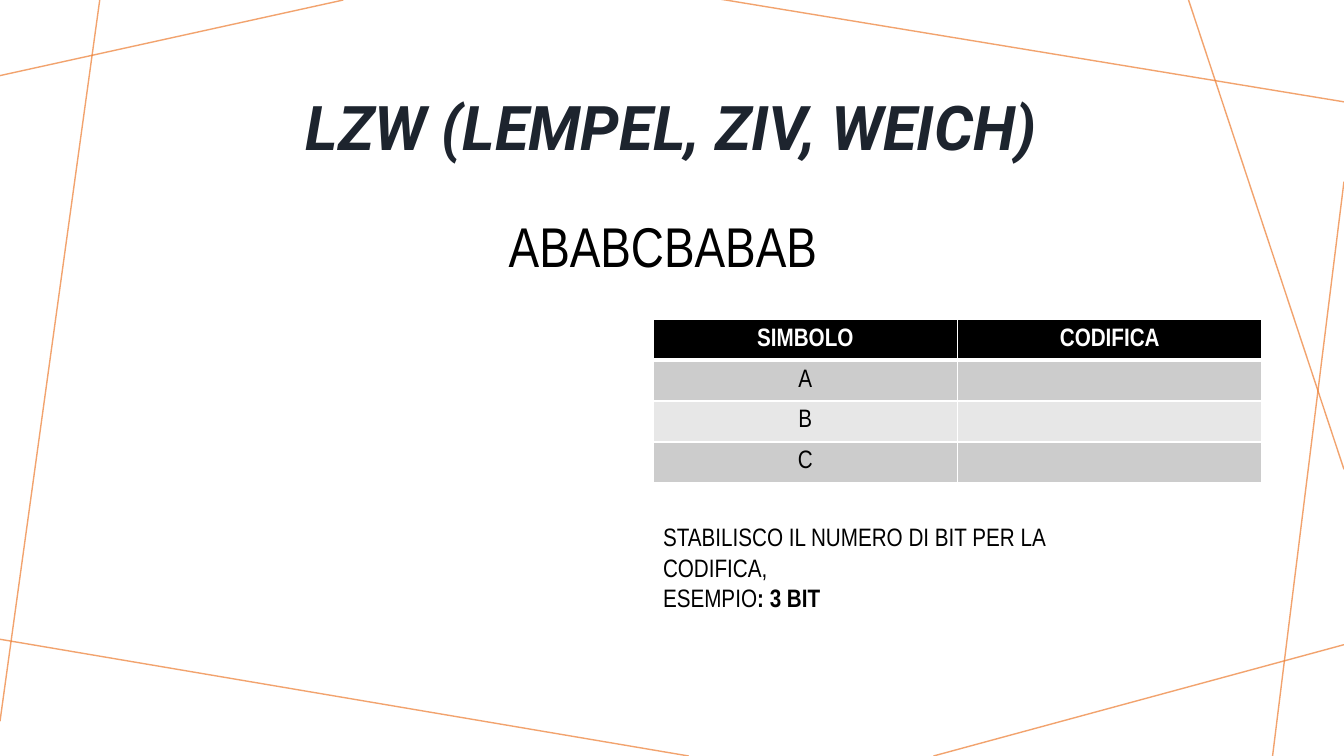
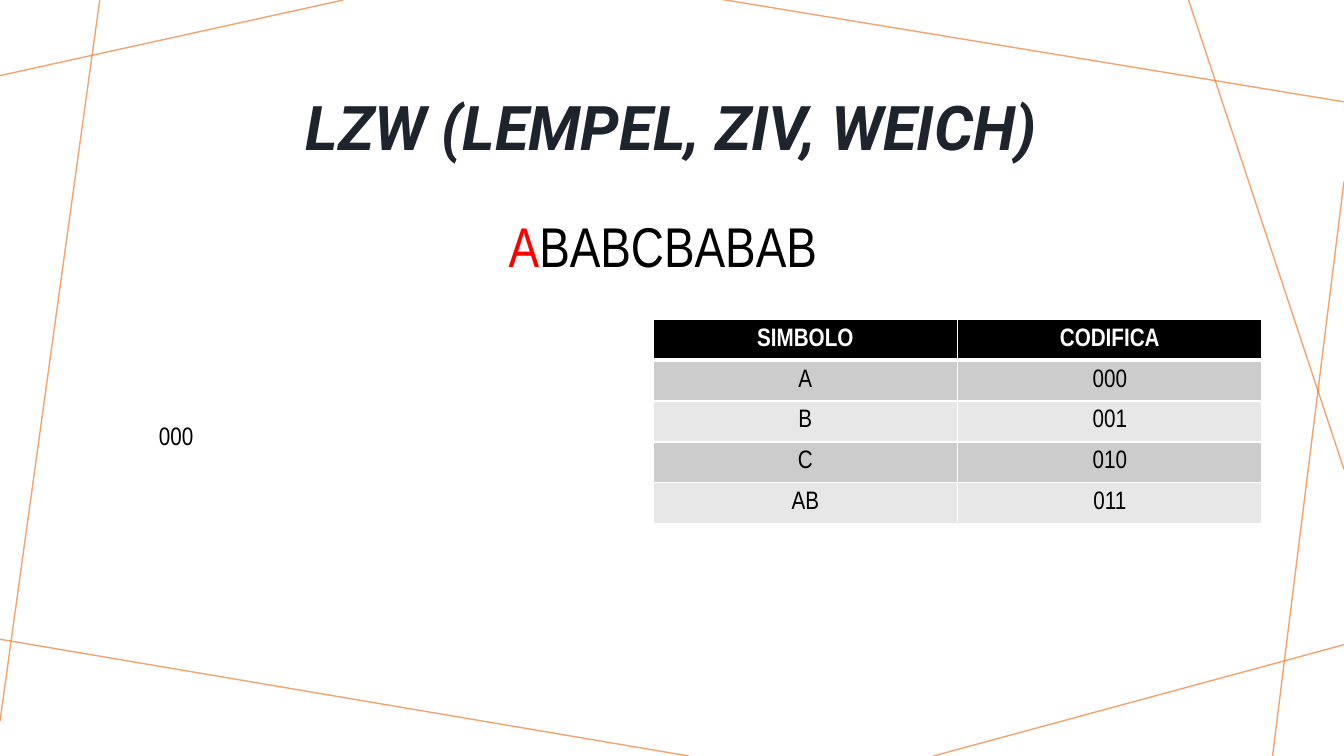
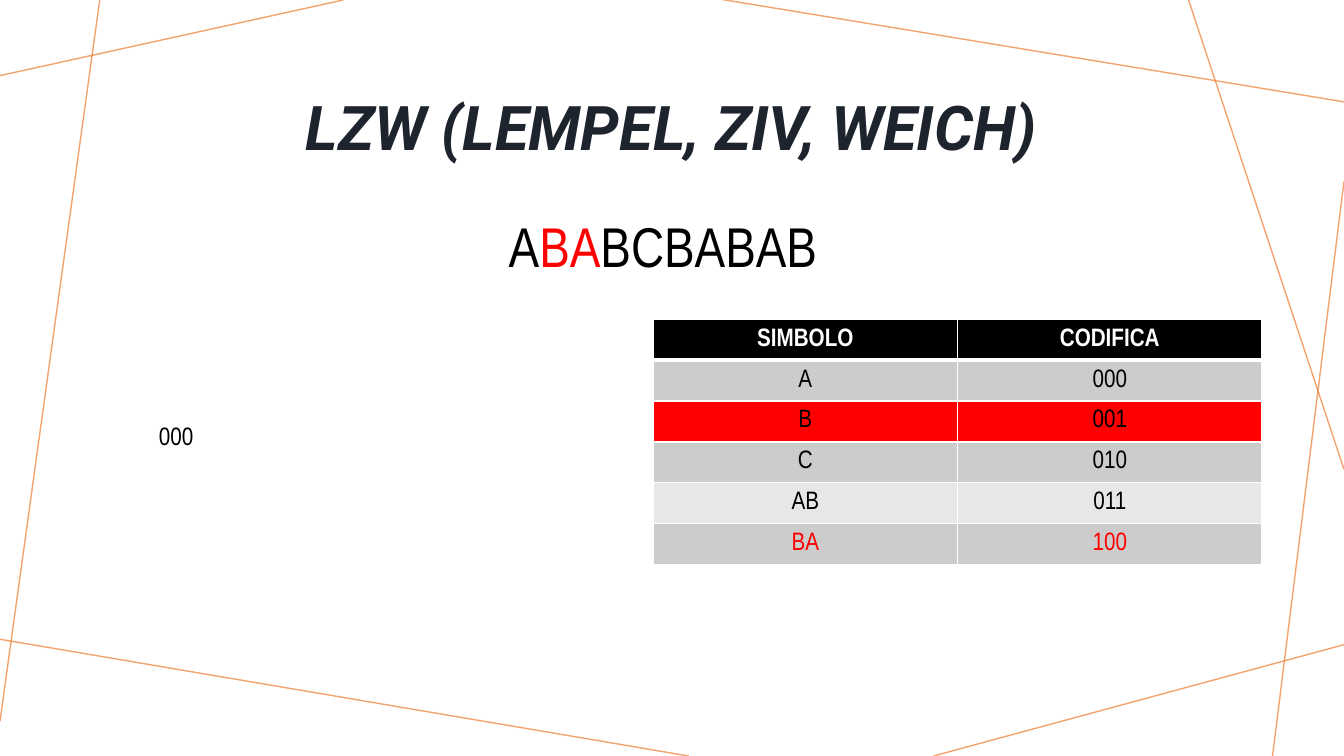
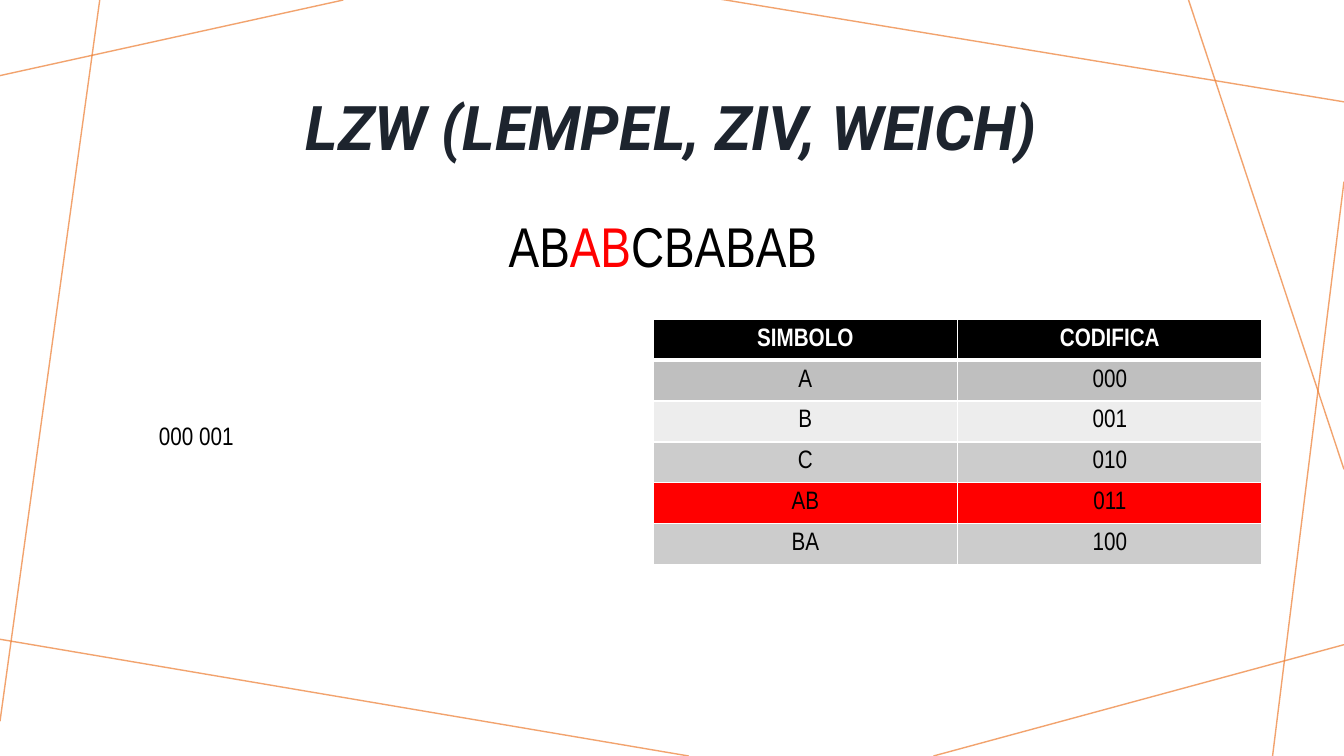
from lxml import etree
from pptx import Presentation
from pptx import util as u
from pptx.dml.color import RGBColor
from pptx.enum import shapes, text
from pptx.oxml.ns import qn

PX = 9525  # EMU in one px, at 96 px to the inch
SLIDE_SIZE = (1280, 720)

THEME = {
    "accent": "ED7D31", "accent_alpha": 70000,
    "ink": "000000", "paper": "FFFFFF", "title": "1D242E", "mark": "FF0000",
    "bands": ("CCCCCC", "E7E7E7"),
}
TITLE_FONT = {"name": "Roboto", "size": u.Pt(44), "bold": True, "italic": True}
SEQUENCE_FONT = {"name": "Arial Narrow", "size": u.Pt(40)}
BODY_FONT = {"name": "Arial Narrow", "size": u.Pt(18), "bold": False}
STRONG_FONT = {**BODY_FONT, "bold": True}

TITLE = "LZW (LEMPEL, ZIV, WEICH)"
SEQUENCE = "ABABCBABAB"
HEADINGS = ("SIMBOLO", "CODIFICA")
NOTE = [
    [("STABILISCO IL NUMERO DI BIT PER LA CODIFICA,", BODY_FONT)],
    [("ESEMPIO", BODY_FONT), (": 3 BIT", STRONG_FONT)],
]
SYMBOLS = ["A", "B", "C", "AB", "BA"]
CODES = ["000", "001", "010", "011", "100"]

# marked: start and end of the red letters; fills: row fills that differ from the bands
STEPS = [
    {"marked": (0, 0), "symbols": 3, "codes": 0, "note": NOTE},
    {"marked": (0, 1), "symbols": 4, "codes": 4, "output": "000"},
    {"marked": (1, 3), "symbols": 5, "codes": 5, "output": "000",
     "fills": {"B": THEME["mark"]}, "new": "BA"},
    {"marked": (2, 4), "symbols": 5, "codes": 5, "output": "000 001",
     "fills": {"A": "BFBFBF", "B": "EDEDED", "AB": THEME["mark"]}},
]

# Ends of the background lines: x1, y1, x2, y2
BACKGROUND_LINES = [
    (327, 0, 0, 72), (95, 0, 0, 687), (656, 720, -5, 608), (1280, 614, 889, 720),
    (1280, 173, 1212, 720), (1280, 447, 1132, 0), (1280, 97, 685, -1),
]
TITLE_BOX = (120, 52, 1040, 145)
SEQUENCE_BOX = (475, 197, 330, 74)
OUTPUT_BOX = (142, 396, 480, 38)
NOTE_BOX = (622, 492, 452, 68)
TABLE_LEFT, TABLE_TOP, COLUMN_WIDTH, ROW_HEIGHT = 622, 304, 290, 39


def emu(lengths):
    return [length * PX for length in lengths]


def add_run(paragraph, wording, font, color):
    run = paragraph.add_run()
    run.text = wording
    for attribute, value in font.items():
        setattr(run.font, attribute, value)
    run.font.color.rgb = RGBColor.from_string(color)


def add_text(slide, box, paragraphs):
    """Add a text box; each paragraph is a list of (wording, font, color)."""
    frame = slide.shapes.add_textbox(*emu(box)).text_frame
    frame.word_wrap = True
    frame.auto_size = text.MSO_AUTO_SIZE.SHAPE_TO_FIT_TEXT
    for index, runs in enumerate(paragraphs):
        paragraph = frame.add_paragraph() if index else frame.paragraphs[0]
        for run in runs:
            add_run(paragraph, *run)


def prepare_layout(layout, slide):
    """Place the title and move the background lines, drawn on slide, to the layout."""
    title = layout.placeholders[0]
    title.left, title.top, title.width, title.height = emu(TITLE_BOX)
    for number, ends in enumerate(BACKGROUND_LINES):
        line = slide.shapes.add_connector(shapes.MSO_CONNECTOR.STRAIGHT, *emu(ends))
        line.line.width = u.Pt(1)
        line.line.color.rgb = RGBColor.from_string(THEME["accent"])
        color = line.element.find(".//" + qn("a:srgbClr"))
        etree.SubElement(color, qn("a:alpha"), val=str(THEME["accent_alpha"]))
        etree.SubElement(line.element.spPr, qn("a:effectLst"))
        line.element.find(".//" + qn("p:cNvPr")).set("id", str(100 + number))
        layout.shapes.element.append(line.element)


def add_title(slide):
    frame = slide.shapes.title.text_frame
    frame.auto_size = text.MSO_AUTO_SIZE.NONE
    frame.vertical_anchor = text.MSO_ANCHOR.MIDDLE
    paragraph = frame.paragraphs[0]
    paragraph.alignment = text.PP_ALIGN.CENTER
    paragraph.line_spacing = 0.9
    add_run(paragraph, TITLE, TITLE_FONT, THEME["title"])


def add_sequence(slide, start, end):
    parts = [(SEQUENCE[:start], "ink"), (SEQUENCE[start:end], "mark"), (SEQUENCE[end:], "ink")]
    runs = [(letters, SEQUENCE_FONT, THEME[color]) for letters, color in parts if letters]
    add_text(slide, SEQUENCE_BOX, [runs])


def set_borders(cell, widths):
    properties = cell._tc.get_or_add_tcPr()
    for position, (side, points) in enumerate(widths.items()):
        border = etree.Element(qn("a:ln" + side), w=str(u.Pt(points)))
        fill = etree.SubElement(border, qn("a:solidFill"))
        etree.SubElement(fill, qn("a:srgbClr"), val=THEME["paper"])
        properties.insert(position, border)


def fill_cell(cell, wording, fill, font, color, borders):
    cell.fill.solid()
    cell.fill.fore_color.rgb = RGBColor.from_string(fill)
    cell.vertical_anchor = text.MSO_ANCHOR.MIDDLE
    set_borders(cell, borders)
    paragraph = cell.text_frame.paragraphs[0]
    paragraph.alignment = text.PP_ALIGN.CENTER
    if wording:
        add_run(paragraph, wording, font, color)


def add_dictionary(slide, step):
    symbols = SYMBOLS[:step["symbols"]]
    codes = CODES[:step["codes"]] or [""] * len(symbols)
    rows = [HEADINGS, *zip(symbols, codes)]
    columns = len(HEADINGS)
    box = (TABLE_LEFT, TABLE_TOP, columns * COLUMN_WIDTH, len(rows) * ROW_HEIGHT)
    table = slide.shapes.add_table(len(rows), columns, *emu(box)).table
    for row, entries in enumerate(rows):
        symbol = entries[0]
        borders = {"L": 1, "R": 1, "T": 3 if row == 1 else 1, "B": 1 if row else 3}
        if row == 0:
            look = (THEME["ink"], STRONG_FONT, THEME["paper"])
        else:
            band = THEME["bands"][(row - 1) % 2]
            color = THEME["mark" if symbol == step.get("new") else "ink"]
            look = (step.get("fills", {}).get(symbol, band), BODY_FONT, color)
        for column, wording in enumerate(entries):
            fill_cell(table.cell(row, column), wording, *look, borders)


def main():
    deck = Presentation()
    deck.slide_width, deck.slide_height = emu(SLIDE_SIZE)
    layout = deck.slide_layouts.get_by_name("Title Only")
    for index, step in enumerate(STEPS):
        slide = deck.slides.add_slide(layout)
        if index == 0:
            prepare_layout(layout, slide)
        add_title(slide)
        add_sequence(slide, *step["marked"])
        add_dictionary(slide, step)
        if "note" in step:
            add_text(slide, NOTE_BOX,
                     [[(*run, THEME["ink"]) for run in runs] for runs in step["note"]])
        if "output" in step:
            add_text(slide, OUTPUT_BOX, [[(step["output"], BODY_FONT, THEME["ink"])]])
    deck.save("out.pptx")


if __name__ == "__main__":
    main()
